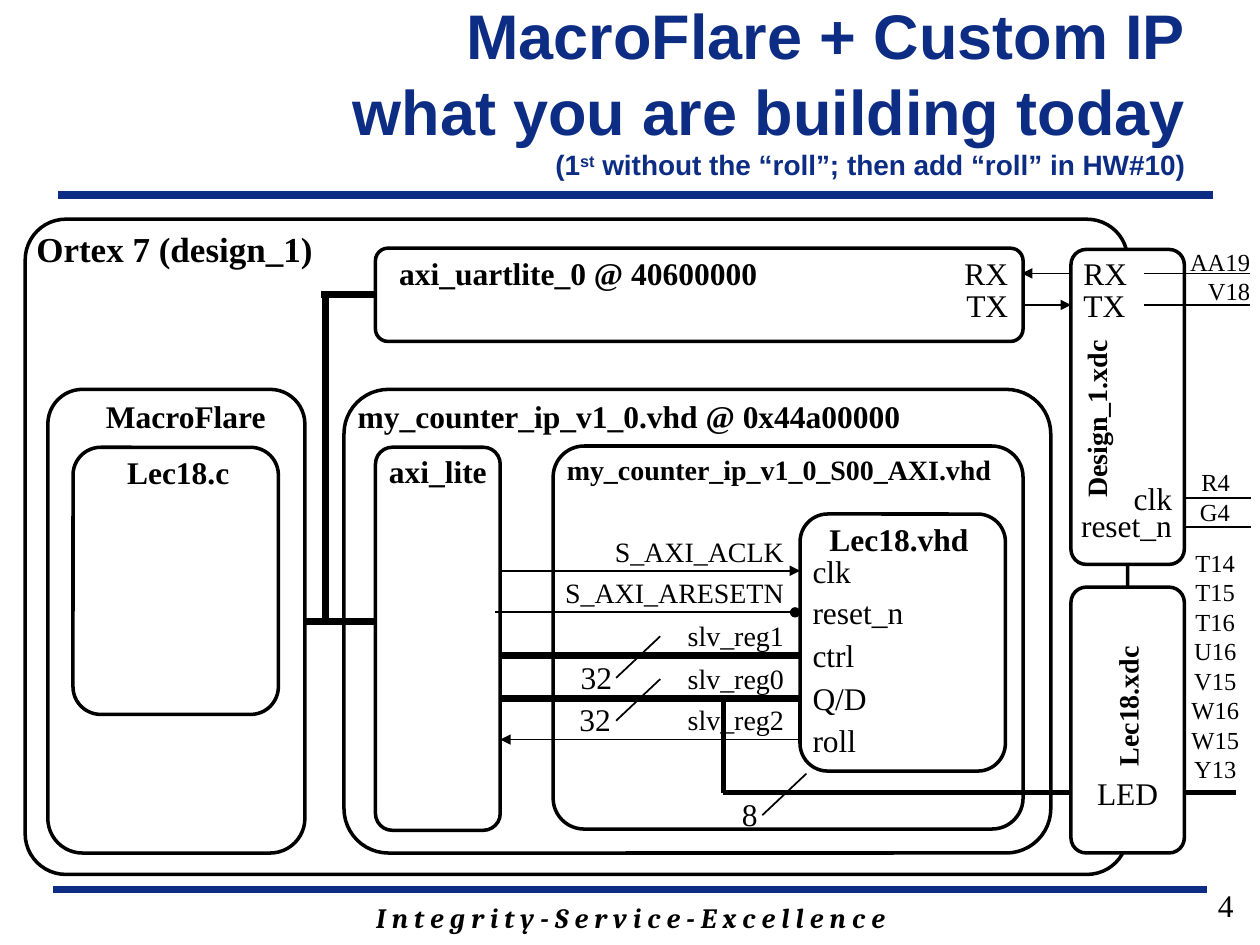
from lxml.etree import SubElement
from pptx import Presentation
from pptx.dml.color import RGBColor
from pptx.enum.shapes import MSO_CONNECTOR as Conn, MSO_SHAPE as Shape
from pptx.enum.text import MSO_ANCHOR as Anchor, MSO_AUTO_SIZE as AutoSize, PP_ALIGN as Align
from pptx.oxml.ns import qn
from pptx.util import Pt

PX = 9144  # 100 px to the inch
COLORS = {"navy": "0C2D83", "black": "000000", "white": "FFFFFF"}
SERIF = "Times New Roman"
L, C, R = Align.LEFT, Align.CENTER, Align.RIGHT


def rgb(name):
    return RGBColor.from_string(COLORS[name])


class Diagram:
    def __init__(self, slide):
        self.slide = slide

    def place(self, sp, x, y, w, h):
        sp.left, sp.top, sp.width, sp.height = (v * PX for v in (x, y, w, h))

    def style(self, font, size, color="black", bold=False, name=SERIF):
        font.name, font.size, font.bold = name, Pt(size), bold
        font.color.rgb = rgb(color)

    def title(self, x, y, w, h, lines, note):
        sp = self.slide.shapes.title
        self.place(sp, x, y, w, h)
        tf = sp.text_frame
        tf.auto_size, tf.vertical_anchor = AutoSize.NONE, Anchor.MIDDLE
        p = tf.paragraphs[0]
        p.alignment = R
        self.style(p.font, 36, "navy", True, "Arial")
        for line in lines:
            p.add_run().text = line
            p.add_line_break()
        for text, raised in note:
            r = p.add_run()
            r.text, r.font.size = text, Pt(16)
            if raised:
                r.font._element.set("baseline", "30000")

    def text(self, x, y, w, h, text, size=18, align=L, bold=False, rotation=0,
             name=SERIF, italic=False):
        sp = self.slide.shapes.add_textbox(0, 0, 0, 0)
        self.place(sp, x, y, w, h)
        sp.rotation = rotation
        tf = sp.text_frame
        tf.word_wrap = True
        tf.text = text
        for p in tf.paragraphs:
            p.alignment = align
            self.style(p.font, size, bold=bold, name=name)
            p.font.italic = italic

    def block(self, x, y, w, h, corner=0.135, fill=None):
        sp = self.slide.shapes.add_shape(Shape.ROUNDED_RECTANGLE, 0, 0, 0, 0)
        self.place(sp, x, y, w, h)
        sp.adjustments[0] = corner
        sp.shadow.inherit = False
        if fill:
            sp.fill.solid()
            sp.fill.fore_color.rgb = rgb(fill)
        else:
            sp.fill.background()
        sp.line.color.rgb = rgb("black")
        sp.line.width = Pt(2)

    def wire(self, x1, y1, x2, y2, width=1, head=None, tail=None, color="black"):
        c = self.slide.shapes.add_connector(
            Conn.STRAIGHT, *(v * PX for v in (x1, y1, x2, y2)))
        c.line.color.rgb = rgb(color)
        c.line.width = Pt(width)
        props = c._element.spPr
        for tag, kind in (("a:headEnd", head), ("a:tailEnd", tail)):
            if kind:
                SubElement(props.find(qn("a:ln")), qn(tag), type=kind)
        SubElement(props, qn("a:effectLst"))


def main():
    prs = Presentation()
    prs.slide_width, prs.slide_height = 1000 * PX, 750 * PX
    d = Diagram(prs.slides.add_slide(prs.slide_layouts[5]))

    # Title, rules and footer
    d.wire(42, 706, 958, 706, 4.5, color="navy")
    d.wire(46, 155, 963, 155, 4.5, color="navy")
    d.title(209, 8, 742, 125,
            ["MacroFlare + Custom IP", "what you are building today"],
            [("(1", False), ("st", True),
             (" without the “roll”; then add “roll” in HW#10)", False)])
    d.text(142, 710, 717, 37, "I n t e g r i t y - S e r v i c e - E x c e l l e n c e",
           16, C, True, name="Cambria", italic=True)
    d.text(756, 698, 233, 52, "4", align=R)

    # Nested blocks
    for x, y, w, h, corner in [
        (20, 174, 875, 520, 0.062),   # whole chip
        (298, 197, 514, 74, 0.135),   # UART
        (38, 309, 204, 368, 0.135),   # processor
        (58, 355, 163, 212, 0.135),   # program
        (273, 309, 561, 368, 0.096),  # counter IP
        (298, 355, 99, 304, 0.135),   # bus interface
        (439, 354, 373, 304, 0.081),  # AXI wrapper
        (635, 408, 163, 204, 0.135),  # user logic
    ]:
        d.block(x, y, w, h, corner)

    # Block names
    for x, y, w, text, size, align in [
        (19, 176, 263, "Ortex 7 (design_1)", 20, L),
        (307, 197, 356, "axi_uartlite_0 @ 40600000", 18, L),
        (64, 310, 167, "MacroFlare", 18, C),
        (58, 355, 167, "Lec18.c", 18, C),
        (274, 310, 599, "my_counter_ip_v1_0.vhd @ 0x44a00000", 18, L),
        (293, 354, 109, "axi_lite", 18, C),
        (440, 354, 402, "my_counter_ip_v1_0_S00_AXI.vhd", 16, L),
        (632, 408, 163, "Lec18.vhd", 18, C),
    ]:
        d.text(x, y, w, 40, text, size, align, True)

    # Signals between the bus interface and the user logic
    for i, (signal, port, width, head, tail) in enumerate([
        ("S_AXI_ACLK", "clk", 1, None, "triangle"),
        ("S_AXI_ARESETN", "reset_n", 1, None, "oval"),
        ("slv_reg1", "ctrl", 4, None, None),
        ("slv_reg0", "Q/D", 4, None, None),
        ("slv_reg2", "roll", 1, "triangle", None),
    ]):
        y = round(419 + 33.5 * i)
        shift = 4 if tail == "oval" else 0
        d.wire(397 - shift, y + 34, 635 - shift, y + 34, width, head, tail)
        d.text(418, y, 214, 37, signal, 16, R)
        d.text(635, y + 14, 109, 40, port)

    # Bus from processor to peripherals, then the LED bus
    d.wire(243, 493, 298, 493, 4)
    d.wire(258, 493, 258, 234, 4)
    d.wire(255, 234, 298, 234, 4)
    d.wire(574, 629, 878, 629, 3)
    d.wire(574, 629, 574, 557, 3)

    # Bus widths
    for x, y, label_x, bits in [(489, 538, 451, "32"), (489, 572, 450, "32"),
                                (605, 647, 579, "8")]:
        d.wire(x, y, x + 35, y - 33)
        d.text(label_x, y - 21, 62, 40, bits)

    # Constraint files
    d.block(850, 466, 90, 211, fill="white")
    d.block(850, 198, 90, 250, fill="white")
    d.text(801, 542, 188, 37, "Lec18.xdc", 16, C, True, 270)
    d.text(796, 314, 148, 37, "Design_1.xdc", 16, C, True, 270)
    d.text(850, 609, 90, 40, "LED", align=C)
    d.text(882, 375, 58, 40, "clk", align=R)
    d.text(841, 397, 99, 40, "reset_n", align=R)

    # Serial links
    for y, name, head, tail in [(217, "RX", "triangle", None),
                                (242, "TX", None, "triangle")]:
        d.wire(811, y, 850, y, 1, head, tail)
        d.text(752, y - 20, 58, 40, name, align=R)
        d.text(850, y - 20, 58, 40, name)
        d.wire(908, y, 992, y)

    # Package pins
    d.wire(941, 395, 993, 395)
    d.wire(941, 418, 993, 418)
    d.wire(940, 629, 981, 629, 3)
    d.text(921, 191, 81, 57, "AA19\nV18", 14, R)
    d.text(905, 366, 81, 57, "R4\nG4", 14, R)
    d.text(933, 430, 63, 199, "T14\nT15\nT16\nU16\nV15\nW16\nW15\nY13", 14, C)

    prs.save("out.pptx")


if __name__ == "__main__":
    main()
